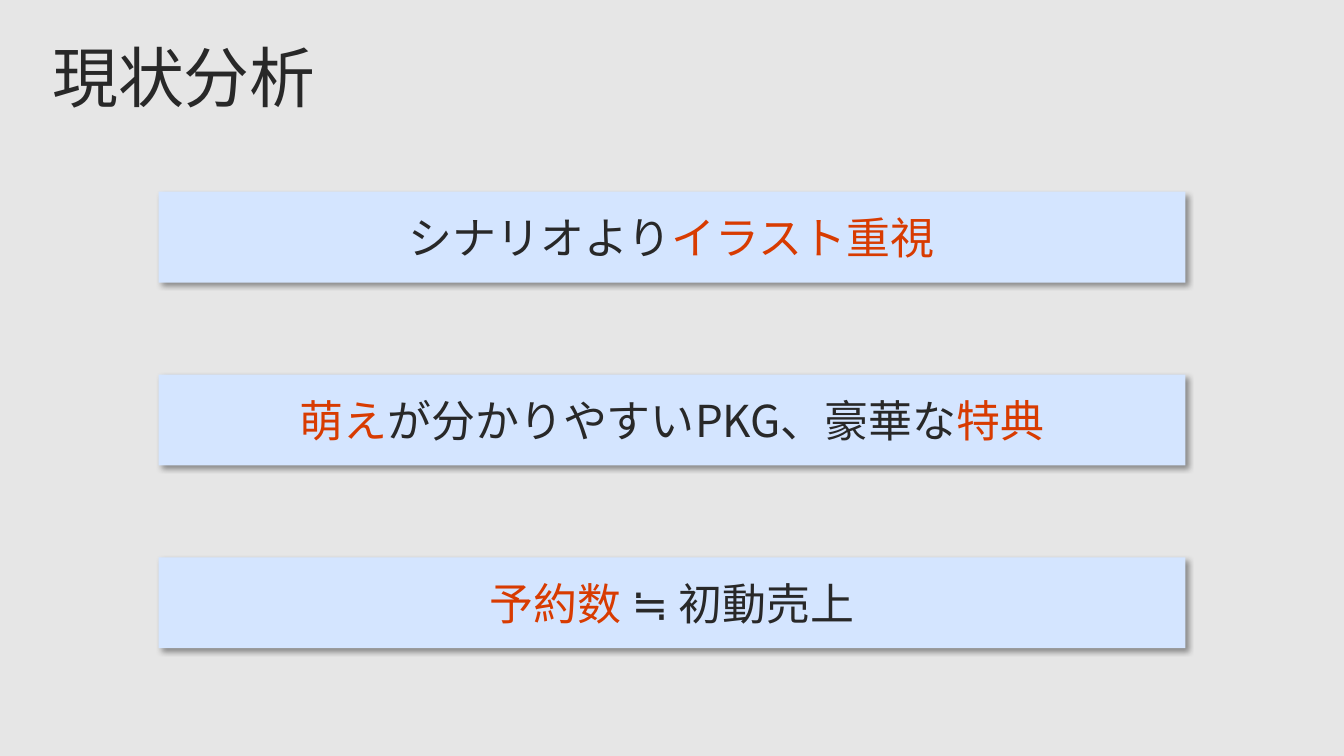
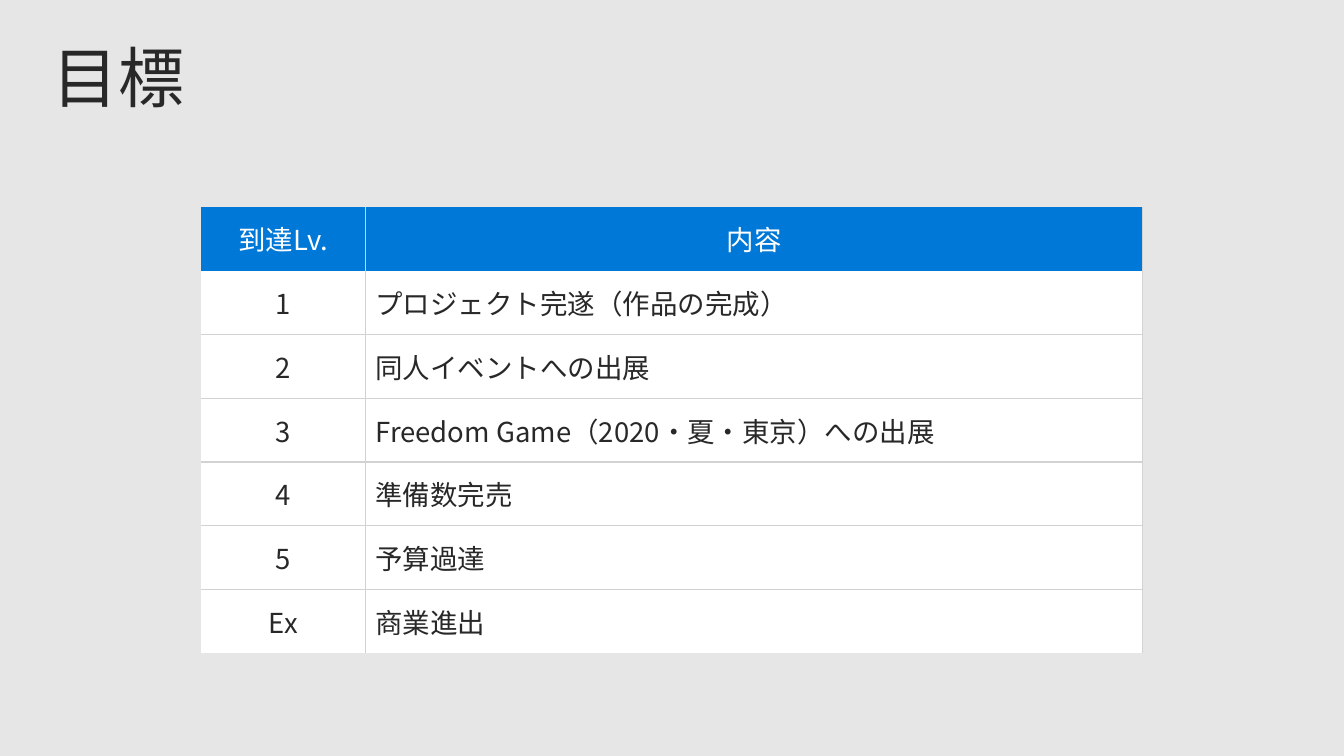
from lxml.etree import SubElement as Sub
from pptx import Presentation
from pptx.dml.color import RGBColor as Rgb
from pptx.enum.shapes import MSO_SHAPE as Kind
from pptx.enum.text import MSO_ANCHOR as Anchor, PP_ALIGN as Align
from pptx.oxml.ns import qn
from pptx.util import Pt

WIDE, HIGH = 979.2, 550.8
FONT = "Noto Sans CJK JP"
HUES = {
    "back": "E6E6E6", "ink": "282828", "hot": "D83B01", "bar": "D4E5FF",
    "head": "0078D7", "white": "FFFFFF", "rule": "D2D2D2", "shade": "000000",
}


def hue(name):
    return Rgb.from_string(HUES[name])


class Deck:
    """Holds the shared style and the current slide."""

    def __init__(self):
        self.prs = Presentation()
        self.prs.slide_width, self.prs.slide_height = Pt(WIDE), Pt(HIGH)
        self.slide = None

    def page(self, title):
        """Start a slide with the shared background and title."""
        self.slide = self.prs.slides.add_slide(self.prs.slide_layouts[6])
        fill = self.slide.background.fill
        fill.solid()
        fill.fore_color.rgb = hue("back")
        box = self.slide.shapes.add_textbox(Pt(31), Pt(22.3), Pt(916.6), Pt(66.2))
        frame = box.text_frame
        frame.word_wrap = True
        frame.vertical_anchor = Anchor.MIDDLE
        self.label(frame, [(title, "ink")], 48)

    def label(self, frame, parts, size, align=Align.LEFT):
        """Fill one paragraph with (text, colour) parts."""
        para = frame.paragraphs[0]
        para.alignment = align
        font = para.font
        font.size, font.name = Pt(size), FONT
        if len(parts) == 1:
            font.color.rgb = hue(parts[0][1])
        for base in para._p.iter(qn("a:defRPr")):
            Sub(base, qn("a:ea"), typeface=FONT)
        for text, tone in parts:
            run = para.add_run()
            run.text = text
            if len(parts) > 1:
                run.font.color.rgb = hue(tone)

    def bar(self, left, top, width, height, parts):
        """Shaded rectangle with centred text."""
        rect = self.slide.shapes.add_shape(
            Kind.RECTANGLE, Pt(left), Pt(top), Pt(width), Pt(height))
        rect.fill.solid()
        rect.fill.fore_color.rgb = hue("bar")
        rect.line.fill.background()
        rect.shadow.inherit = False
        cast = Sub(rect._element.spPr.find(qn("a:effectLst")), qn("a:outerShdw"),
                   blurRad=str(Pt(4)), dist=str(Pt(3)), dir=str(45 * 60000),
                   algn="tl", rotWithShape="0")
        tone = Sub(cast, qn("a:srgbClr"), val=HUES["shade"])
        Sub(tone, qn("a:alpha"), val="40000")
        rect.text_frame.vertical_anchor = Anchor.MIDDLE
        self.label(rect.text_frame, parts, 32, Align.CENTER)

    def edge(self, cell, sides):
        """Rule the given sides of a cell and clear the others."""
        props = cell._tc.get_or_add_tcPr()
        for side in "LRTB":
            line = Sub(props, qn("a:ln" + side), w=str(Pt(1)))
            if side in sides:
                Sub(Sub(line, qn("a:solidFill")), qn("a:srgbClr"), val=HUES["rule"])
            else:
                Sub(line, qn("a:noFill"))

    def grid(self, left, top, cols, step, rows):
        """Table with a header row and a centred first column."""
        last = len(rows) - 1
        table = self.slide.shapes.add_table(
            len(rows), len(cols), Pt(left), Pt(top),
            Pt(sum(cols)), Pt(step * len(rows))).table
        for col, width in zip(table.columns, cols):
            col.width = Pt(width)
        for r, row in enumerate(rows):
            table.rows[r].height = Pt(step)
            for c, text in enumerate(row):
                cell = table.cell(r, c)
                sides = "R" + "L" * (c > 0) + "T" * (r > 1) + "B" * (0 < r < last)
                self.edge(cell, sides)
                cell.fill.solid()
                cell.fill.fore_color.rgb = hue("white" if r else "head")
                cell.vertical_anchor = Anchor.MIDDLE
                align = Align.LEFT if r and c else Align.CENTER
                self.label(cell.text_frame, [(text, "ink" if r else "white")], 20, align)


def main():
    deck = Deck()

    # Current state: three evenly spaced bars
    deck.page("現状分析")
    bars = [
        [("シナリオより", "ink"), ("イラスト重視", "hot")],
        [("萌え", "hot"), ("が分かりやすいPKG、豪華な", "ink"), ("特典", "hot")],
        [("予約数 ", "hot"), ("≒ 初動売上", "ink")],
    ]
    width = 748
    for i, parts in enumerate(bars):
        deck.bar((WIDE - width) / 2, 139.7 + 133.2 * i, width, 66.2, parts)

    # Goals: table of levels
    deck.page("目標")
    deck.grid(146.4, 150.7, [120, 566], 46.5, [
        ("到達Lv.", "内容"),
        ("1", "プロジェクト完遂（作品の完成）"),
        ("2", "同人イベントへの出展"),
        ("3", "Freedom Game（2020・夏・東京）への出展"),
        ("4", "準備数完売"),
        ("5", "予算過達"),
        ("Ex", "商業進出"),
    ])

    deck.prs.save("out.pptx")


if __name__ == "__main__":
    main()
